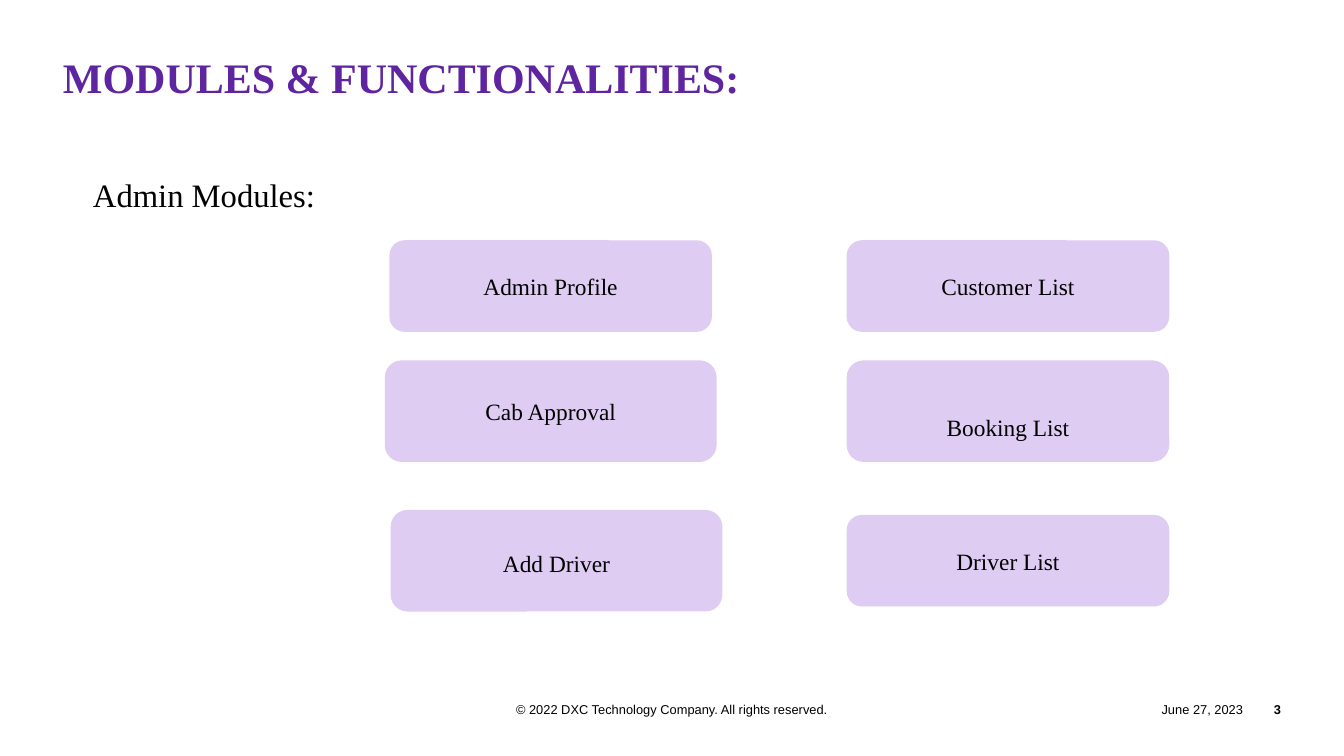
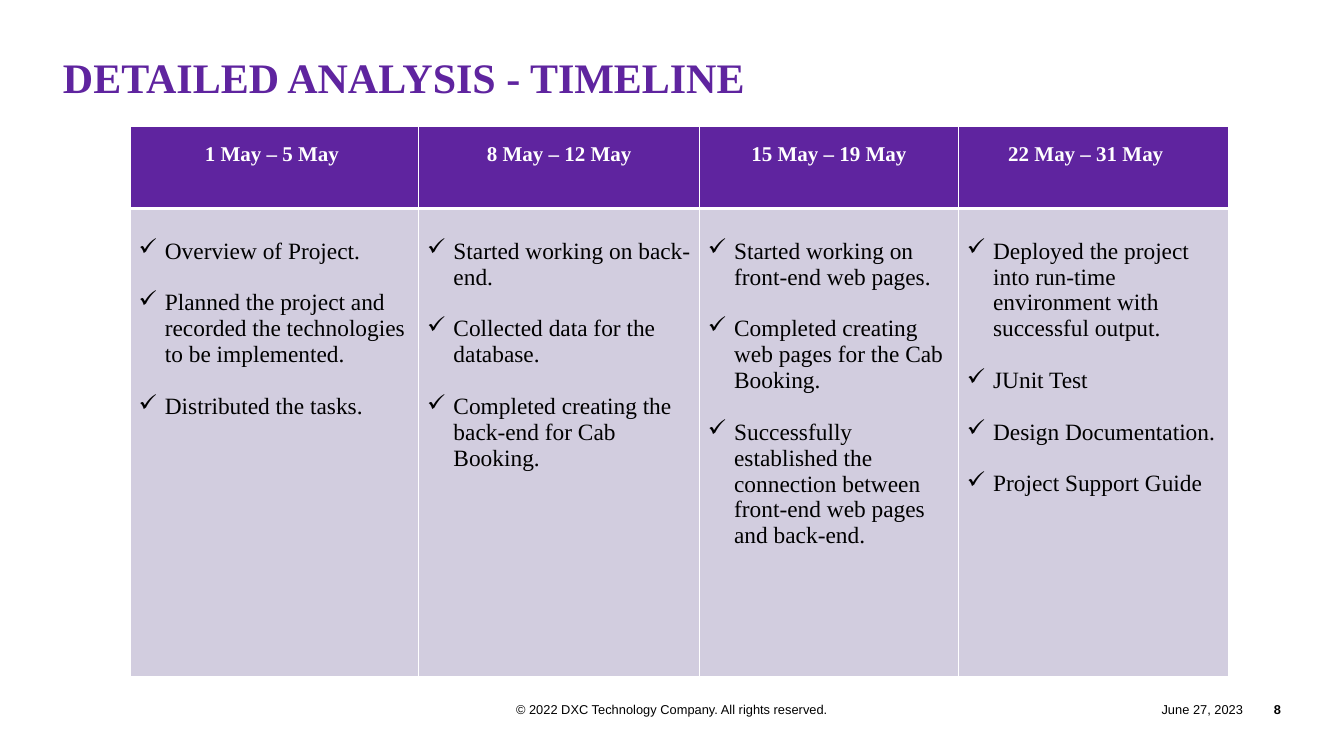
import pptx
import pptx.util
import pptx.dml.color
import pptx.enum.shapes
import pptx.enum.text
from lxml import etree
from pptx.oxml.ns import qn

Pt = pptx.util.Pt
RGBColor = pptx.dml.color.RGBColor
ALIGN = pptx.enum.text.PP_ALIGN
ANCHOR = pptx.enum.text.MSO_ANCHOR

PURPLE = RGBColor(0x5F, 0x24, 0x9F)
LILAC = RGBColor(0xDF, 0xCC, 0xF3)
GREY_LILAC = RGBColor(0xD2, 0xCD, 0xDF)
WHITE = RGBColor(0xFF, 0xFF, 0xFF)
BLACK = RGBColor(0, 0, 0)

SERIF = "Times New Roman"
TITLE_FONT = {"name": SERIF, "size": Pt(36), "bold": True, "color": PURPLE}
SUBTITLE_FONT = {"name": SERIF, "size": Pt(28), "color": BLACK}
BODY_FONT = {"name": SERIF, "size": Pt(20), "bold": False, "color": BLACK}
HEADER_FONT = {"name": SERIF, "size": Pt(18), "bold": True, "color": WHITE}
FOOTER_FONT = {"name": "Arial", "size": Pt(11), "color": BLACK}
PAGE_FONT = {**FOOTER_FONT, "bold": True}

# Regions: left, top, width, height
TITLE_BOX = (54, 50.4, 1044, 111)
SUBTITLE_BOX = (79.7, 150, 400, 36)
MODULES_BOX = (329.8, 206, 672.5, 319)
TIMELINE_BOX = (111.6, 108.7, 941.8, 470.9)
FOOTER_BOX = (54, 597, 1044, 21.6)

SMALL, LARGE, TALL = (276.5, 78.5), (284.4, 87.1), (276.5, 87.1)
# Text, size, centre within the region, extra inset above the text
MODULES = [
    ("Admin Profile", SMALL, (142.2, 39.2), 0),
    ("Cab Approval", LARGE, (142.2, 146.4), 0),
    ("Add Driver", LARGE, (147.2, 274.6), 5),
    ("Customer List", SMALL, (534.2, 39.2), 0),
    ("Booking List", TALL, (534.2, 146.4), 27),
    ("Driver List", SMALL, (534.2, 274.6), 0),
]

HEADER_HEIGHT = 69.8
LINE_GAP = 22.14
BULLET_INDENT = 22.5
# Heading, column width, extra inset right of the heading, tasks
TIMELINE = [
    ("1 May – 5 May", 247.4, 4.5, [
        "Overview of Project.",
        "Planned the project and recorded the technologies to be implemented.",
        "Distributed the tasks."]),
    ("8 May – 12 May", 240.6, 0, [
        "Started working on back-end.",
        "Collected data for the database.",
        "Completed creating the back-end for Cab Booking."]),
    ("15 May – 19 May", 222, 0, [
        "Started working on front-end web pages.",
        "Completed creating web pages for the Cab Booking.",
        "Successfully established the connection between front-end web pages "
        "and back-end."]),
    ("22 May – 31 May", 231.8, 13.5, [
        "Deployed the project into run-time environment with successful output.",
        "JUnit Test",
        "Design Documentation.",
        "Project Support Guide"]),
]


def write(paragraph, text, font, **layout):
    paragraph.text = text
    for name, value in layout.items():
        setattr(paragraph, name, value)
    for name, value in font.items():
        if name == "color":
            paragraph.font.color.rgb = value
        else:
            setattr(paragraph.font, name, value)


def add_text(slide, box, text, font, anchor=ANCHOR.TOP, **layout):
    frame = slide.shapes.add_textbox(*map(Pt, box)).text_frame
    frame.word_wrap = True
    frame.vertical_anchor = anchor
    for side in ("left", "top", "right", "bottom"):
        setattr(frame, f"margin_{side}", 0)
    write(frame.paragraphs[0], text, font, **layout)


def add_footer(slide, box, page):
    left, top, width, height = box
    page_width, date_width = 32.4, 129
    page_left = left + width - page_width
    for part_left, part_width, text, font, alignment in [
        (left, width, "© 2022 DXC Technology Company. All rights reserved.",
         FOOTER_FONT, ALIGN.CENTER),
        (page_left - date_width, date_width, "June 27, 2023", FOOTER_FONT, ALIGN.RIGHT),
        (page_left, page_width, page, PAGE_FONT, ALIGN.RIGHT),
    ]:
        add_text(slide, (part_left, top, part_width, height), text, font,
                 ANCHOR.MIDDLE, alignment=alignment)


def add_base_slide(presentation, title, page):
    """Add a blank slide with the shared title and footer."""
    slide = presentation.slides.add_slide(presentation.slide_layouts[6])
    add_text(slide, TITLE_BOX, title, TITLE_FONT, line_spacing=0.85)
    add_footer(slide, FOOTER_BOX, page)
    return slide


def add_modules(slide, box):
    left, top = box[:2]
    for text, (width, height), (center_x, center_y), inset in MODULES:
        shape = slide.shapes.add_shape(
            pptx.enum.shapes.MSO_SHAPE.ROUNDED_RECTANGLE,
            Pt(left + center_x - width / 2), Pt(top + center_y - height / 2),
            Pt(width), Pt(height))
        shape.shadow.inherit = False
        shape.fill.solid()
        shape.fill.fore_color.rgb = LILAC
        shape.line.fill.background()
        frame = shape.text_frame
        frame.vertical_anchor = ANCHOR.MIDDLE
        frame.margin_top = Pt(3.6 + inset)
        write(frame.paragraphs[0], text, BODY_FONT, alignment=ALIGN.CENTER)


def style_cell(cell, color, borders):
    """Give a cell white borders (side to points) and a solid fill."""
    properties = cell._tc.get_or_add_tcPr()
    for side, points in borders.items():
        line = etree.SubElement(properties, qn(f"a:ln{side}"), w=str(Pt(points)))
        fill = etree.SubElement(line, qn("a:solidFill"))
        etree.SubElement(fill, qn("a:srgbClr"), val=str(WHITE))
    cell.fill.solid()
    cell.fill.fore_color.rgb = color


def add_check_bullet(paragraph):
    properties = paragraph._p.get_or_add_pPr()
    properties.set("marL", str(Pt(BULLET_INDENT)))
    properties.set("indent", str(-Pt(BULLET_INDENT)))
    etree.SubElement(properties, qn("a:buChar"), char="✓")


def add_timeline(slide, box):
    table = slide.shapes.add_table(2, len(TIMELINE), *map(Pt, box)).table
    table.rows[0].height = Pt(HEADER_HEIGHT)
    table.rows[1].height = Pt(box[3] - HEADER_HEIGHT)
    for index, (heading, width, inset, tasks) in enumerate(TIMELINE):
        table.columns[index].width = Pt(width)
        header, body = table.cell(0, index), table.cell(1, index)
        style_cell(header, PURPLE, {"L": 1, "R": 1, "T": 1, "B": 3})
        header.margin_right = Pt(7.2 + inset)
        write(header.text_frame.paragraphs[0], heading, HEADER_FONT,
              alignment=ALIGN.CENTER, line_spacing=1.5)

        style_cell(body, GREY_LILAC, {"L": 1, "R": 1, "T": 3, "B": 1})
        body.margin_top = Pt(3.6 + LINE_GAP)
        frame = body.text_frame
        for number, task in enumerate(tasks):
            paragraph = frame.add_paragraph() if number else frame.paragraphs[0]
            add_check_bullet(paragraph)
            write(paragraph, task, BODY_FONT,
                  space_before=Pt(LINE_GAP if number else 0))


def main():
    presentation = pptx.Presentation()
    presentation.slide_width, presentation.slide_height = Pt(1152), Pt(648)

    modules_slide = add_base_slide(presentation, "MODULES & FUNCTIONALITIES:", "3")
    add_text(modules_slide, SUBTITLE_BOX, "Admin Modules:", SUBTITLE_FONT)
    add_modules(modules_slide, MODULES_BOX)

    timeline_slide = add_base_slide(presentation, "DETAILED ANALYSIS - TIMELINE", "8")
    add_timeline(timeline_slide, TIMELINE_BOX)

    presentation.save("out.pptx")


if __name__ == "__main__":
    main()
